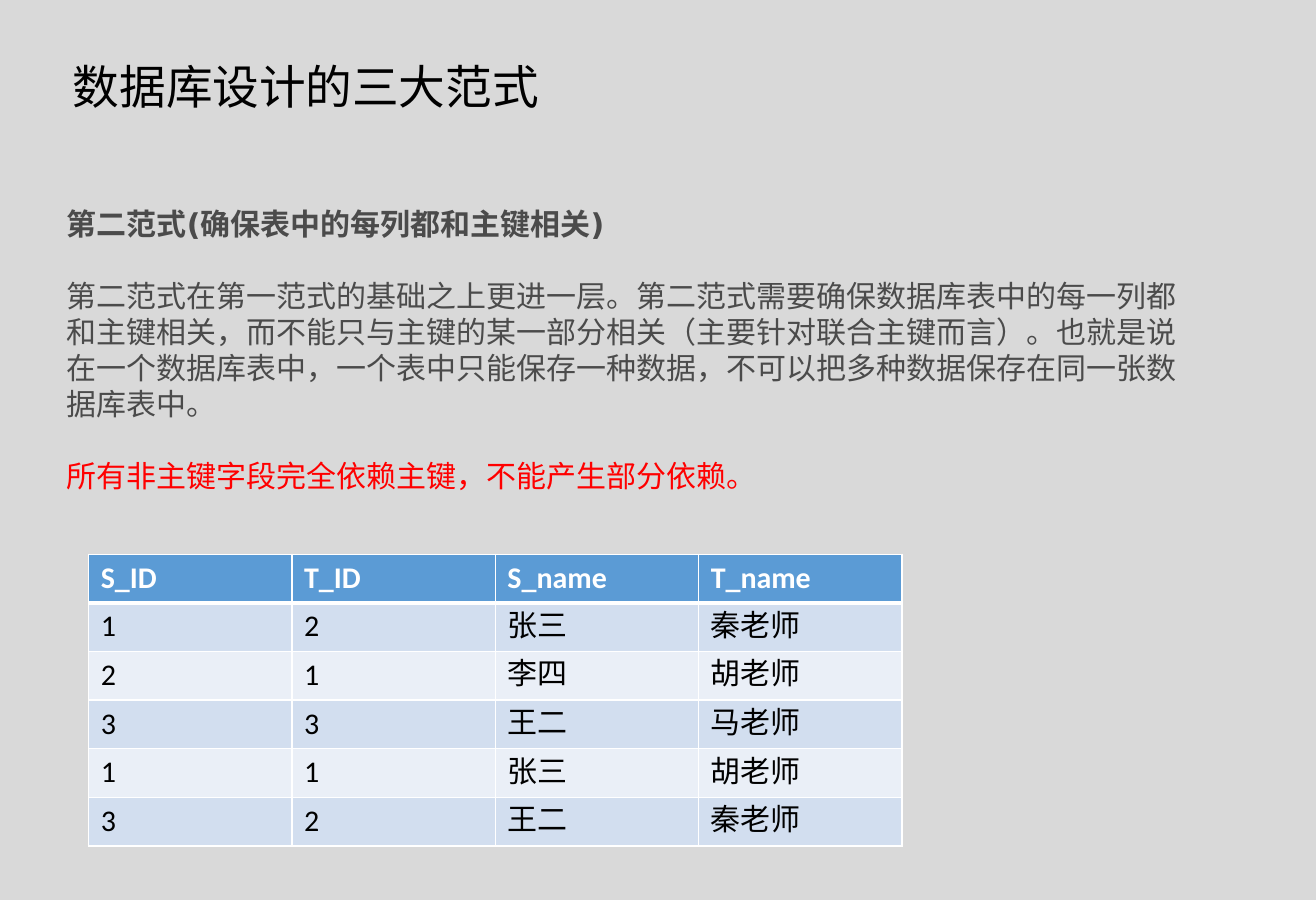
from lxml.etree import SubElement
from pptx import Presentation
from pptx.dml.color import RGBColor
from pptx.oxml.ns import qn
from pptx.util import Inches, Pt

CJK_FONT = "Noto Sans CJK SC"
BACKGROUND = "D9D9D9"
BLACK, GREY, RED, WHITE = "000000", "4B4B4B", "FF0000", "FFFFFF"
HEADER_FILL = "5B9BD5"
BAND_FILLS = ["EAEFF7", "D2DEEF"]
LINE_FACTOR = 1.2

TITLE = "数据库设计的三大范式"
EXPLANATION = [  # text, colour, bold
    ("第二范式(确保表中的每列都和主键相关)", GREY, True),
    ("第二范式在第一范式的基础之上更进一层。第二范式需要确保数据库表中的每一列都"
     "和主键相关，而不能只与主键的某一部分相关（主要针对联合主键而言）。也就是说"
     "在一个数据库表中，一个表中只能保存一种数据，不可以把多种数据保存在同一张数"
     "据库表中。", GREY, False),
    ("所有非主键字段完全依赖主键，不能产生部分依赖。", RED, False),
]
STUDENT_TEACHERS = [
    ("S_ID", "T_ID", "S_name", "T_name"),
    ("1", "2", "张三", "秦老师"),
    ("2", "1", "李四", "胡老师"),
    ("3", "3", "王二", "马老师"),
    ("1", "1", "张三", "胡老师"),
    ("3", "2", "王二", "秦老师"),
]


def rgb(colour):
    return RGBColor.from_string(colour)


def write(paragraph, text, size, font, colour, bold=False):
    paragraph.text = text
    paragraph.line_spacing = Pt(size * LINE_FACTOR)
    paragraph.font.size = Pt(size)
    paragraph.font.name = font
    paragraph.font.bold = bold
    paragraph.font.color.rgb = rgb(colour)
    defaults = paragraph._p.pPr.find(qn("a:defRPr"))
    SubElement(defaults, qn("a:ea"), typeface=CJK_FONT)


def add_text(slide, box, paragraphs, size, font):
    """Add a text box with one blank line's space between paragraphs."""
    frame = slide.shapes.add_textbox(*map(Inches, box)).text_frame
    frame.word_wrap = True
    for index, (text, colour, bold) in enumerate(paragraphs):
        paragraph = frame.add_paragraph() if index else frame.paragraphs[0]
        write(paragraph, text, size, font, colour, bold)
        if index:
            paragraph.space_before = Pt(size * LINE_FACTOR)


def add_borders(cell, widths):
    properties = cell._tc.get_or_add_tcPr()
    for side, width in zip("LRTB", widths):
        line = SubElement(properties, qn(f"a:ln{side}"), w=str(Pt(width)))
        fill = SubElement(line, qn("a:solidFill"))
        SubElement(fill, qn("a:srgbClr"), val=WHITE)


def add_records(slide, box, records):
    left, top, width, height = map(Inches, box)
    table = slide.shapes.add_table(
        len(records), len(records[0]), left, top, width, height).table
    for row, record in enumerate(records):
        is_header = row == 0
        top_border = 3 if row == 1 else 1
        bottom_border = 3 if is_header else 1
        for column, value in enumerate(record):
            cell = table.cell(row, column)
            add_borders(cell, (1, 1, top_border, bottom_border))
            cell.fill.solid()
            cell.fill.fore_color.rgb = rgb(
                HEADER_FILL if is_header else BAND_FILLS[row % 2])
            write(cell.text_frame.paragraphs[0], value, 18, "Calibri",
                  WHITE if is_header else BLACK, is_header)


def main():
    deck = Presentation()
    deck.slide_width, deck.slide_height = Inches(10.97), Inches(7.5)
    slide = deck.slides.add_slide(deck.slide_layouts[6])
    slide.background.fill.solid()
    slide.background.fill.fore_color.rgb = rgb(BACKGROUND)

    add_text(slide, (0.51, 0.43, 5.53, 0.57), [(TITLE, BLACK, False)], 28, CJK_FONT)
    add_text(slide, (0.46, 1.66, 9.58, 2.83), EXPLANATION, 18, "DejaVu Sans")
    add_records(slide, (0.74, 4.62, 6.78, 2.43), STUDENT_TEACHERS)
    deck.save("out.pptx")


if __name__ == "__main__":
    main()
